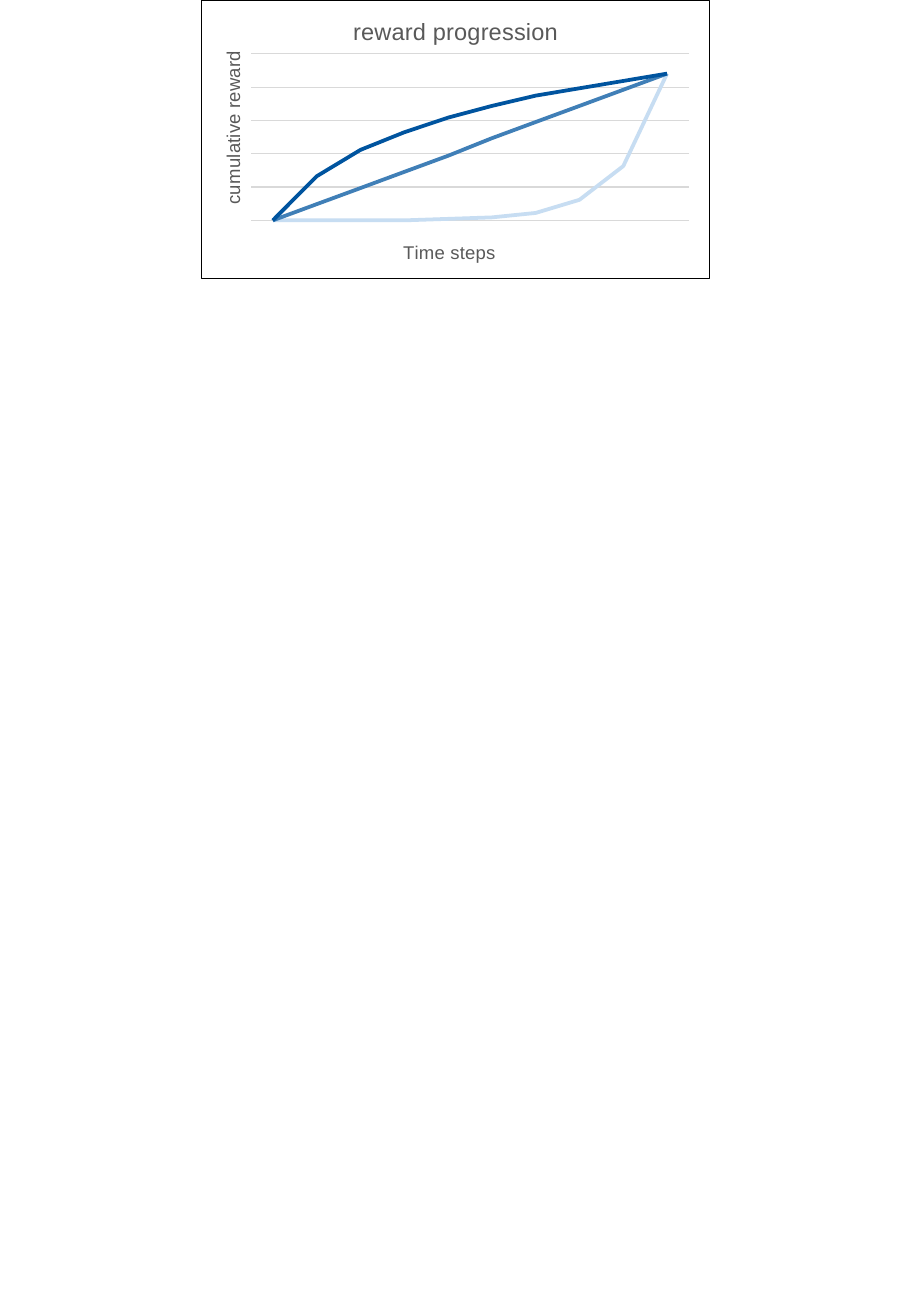
from lxml import etree
from pptx import Presentation
from pptx.chart.data import CategoryChartData
from pptx.dml.color import RGBColor
from pptx.enum.chart import XL_CHART_TYPE as ChartType
from pptx.oxml import parse_xml
from pptx.oxml.ns import nsdecls, qn
from pptx.util import Pt

FONT = "Arial"
GREY = "595959"
REWARD_CURVES = [
    ("Series 1", "C7DDF2", (0, 0, 0, 0, 1, 2, 5, 14, 37, 100)),
    ("Series 2", "407FB7", (0, 11, 22, 33, 44, 56, 67, 78, 89, 100)),
    ("Series 3", "00549F", (0, 30, 48, 60, 70, 78, 85, 90, 95, 100)),
]
GRID_STEP = 22.7
GRID_COUNT = 5


def rgb(hex_color):
    return RGBColor.from_string(hex_color)


def style_line(line, color, width):
    line.color.rgb = rgb(color)
    line.width = Pt(width)


def place(parent, inner=False, **fractions):
    """Set a manual layout, in fractions of the chart's width and height."""
    layout = parent.find(qn("c:layout"))
    if layout is None:
        layout = etree.Element(qn("c:layout"))
        parent.insert(0, layout)
    manual = etree.SubElement(layout, qn("c:manualLayout"))
    settings = {"xMode": "edge", "yMode": "edge", **fractions}
    if inner:
        settings = {"layoutTarget": "inner", **settings}
    for tag, value in settings.items():
        etree.SubElement(manual, qn(f"c:{tag}")).set("val", str(value))


def write_title(title, text, x, y, size=11, color=GREY, rotation=0):
    frame = title.text_frame
    frame.text = text
    font = frame.paragraphs[0].runs[0].font
    font.name, font.size, font.bold = FONT, Pt(size), False
    font.color.rgb = rgb(color)
    body = next(title.element.iter(qn("a:bodyPr")))
    body.set("rot", str(rotation * 60000))
    body.set("vert", "horz")
    place(title.element, x=x, y=y)


def add_border(chart, color, width):
    border = parse_xml(
        f'<c:spPr {nsdecls("c", "a")}><a:solidFill><a:srgbClr val="FFFFFF"/></a:solidFill>'
        f'<a:ln w="{Pt(width)}"><a:solidFill><a:srgbClr val="{color}"/></a:solidFill></a:ln>'
        "</c:spPr>")
    chart.element.find(qn("c:chart")).addnext(border)


def add_reward_chart(slide, left, top, width, height):
    # Data
    data = CategoryChartData()
    data.categories = [str(step) for step in range(1, 11)]
    for name, _, rewards in REWARD_CURVES:
        data.add_series(name, rewards)
    chart = slide.shapes.add_chart(
        ChartType.LINE, Pt(left), Pt(top), Pt(width), Pt(height), data).chart
    chart.has_legend = False
    chart.font.name, chart.font.size = "Calibri", Pt(10)
    chart.font.color.rgb = rgb("000000")

    # Curves
    chart.plots[0].vary_by_categories = False
    for curve, (_, color, _) in zip(chart.plots[0].series, REWARD_CURVES):
        curve.smooth = False
        style_line(curve.format.line, color, 2.25)

    # Hidden axes with gridlines
    time_axis, reward_axis = chart.category_axis, chart.value_axis
    time_axis.visible = reward_axis.visible = False
    reward_axis.minimum_scale = 0
    reward_axis.maximum_scale = GRID_STEP * GRID_COUNT
    reward_axis.major_unit = GRID_STEP
    reward_axis.has_major_gridlines = True
    style_line(reward_axis.major_gridlines.format.line, "D9D9D9", 0.75)

    # Titles
    chart.has_title = True
    write_title(chart.chart_title, "reward progression", 0.29, 0.04, size=14)
    write_title(time_axis.axis_title, "Time steps", 0.39, 0.85)
    write_title(reward_axis.axis_title, "cumulative reward", 0.03, 0.17, rotation=-90)

    # Plot area and frame
    place(chart.element.find(qn("c:chart")).find(qn("c:plotArea")), inner=True,
          x=0.097, y=0.192, w=0.863, h=0.6)
    add_border(chart, "000000", 0.75)


deck = Presentation()
deck.slide_width, deck.slide_height = Pt(540), Pt(779.76)
page = deck.slides.add_slide(deck.slide_layouts[6])
add_reward_chart(page, 119.2, 0, 301.7, 165.2)
deck.save("out.pptx")
